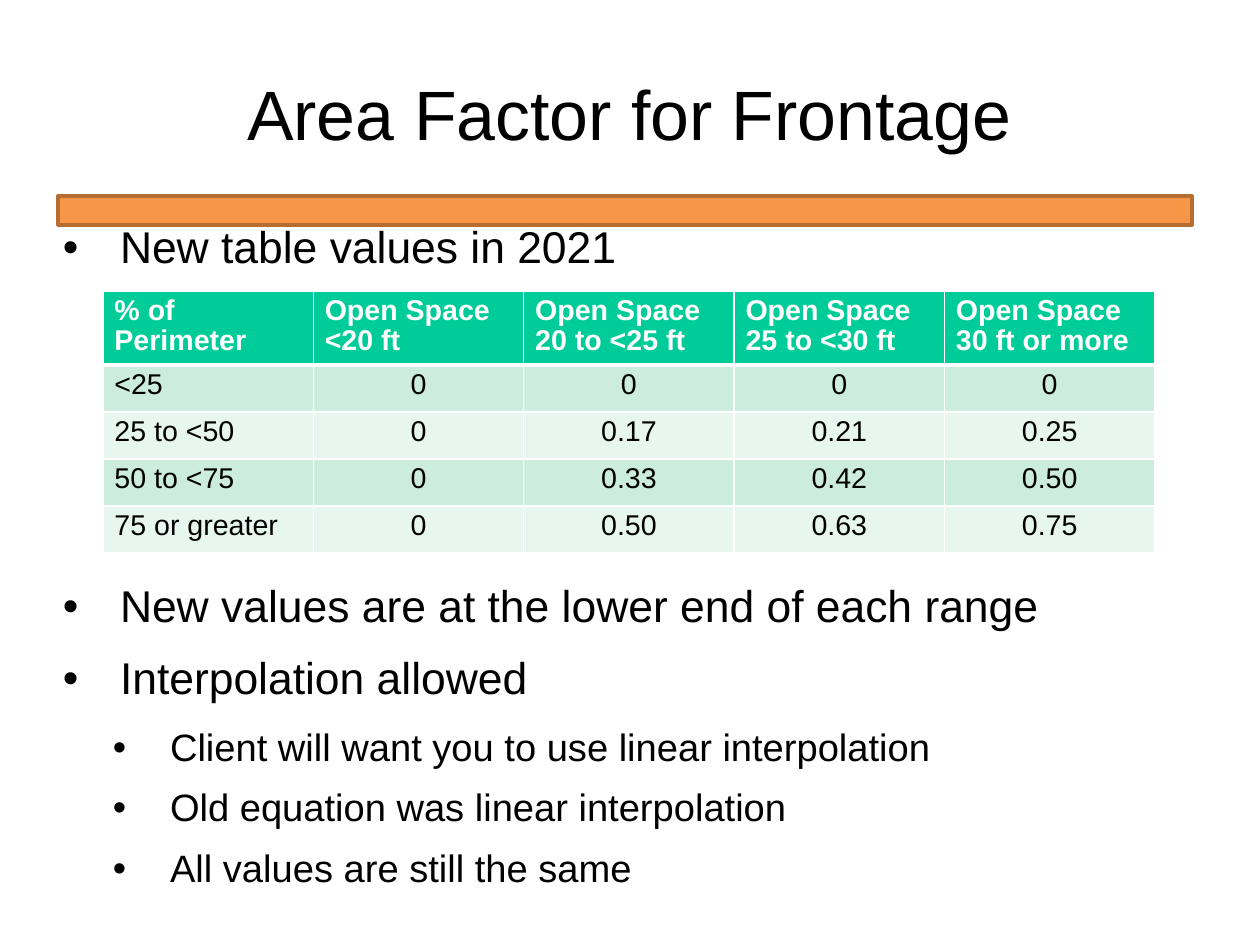
from dataclasses import dataclass

from lxml.etree import SubElement
from pptx import Presentation
from pptx.dml.color import RGBColor
from pptx.enum.shapes import MSO_SHAPE
from pptx.enum.text import MSO_ANCHOR, PP_ALIGN
from pptx.oxml.ns import qn
from pptx.util import Emu, Pt

WHITE = RGBColor(0xFF, 0xFF, 0xFF)
BLACK = RGBColor(0, 0, 0)
ORANGE = RGBColor(0xF7, 0x96, 0x46)
BROWN = RGBColor(0xB6, 0x6D, 0x31)
GREEN = RGBColor(0x00, 0xCC, 0x99)
BANDS = (RGBColor(0xCC, 0xEC, 0xDE), RGBColor(0xE7, 0xF6, 0xEF))
SCALE = 8000


@dataclass
class Box:
    left: int
    top: int
    width: int
    height: int


@dataclass
class Point:
    text: str
    level: int = 0
    before: int = 0


@dataclass
class Style:
    size: int
    indent: int
    after: float


STYLES = (Style(28, 57, 14.1), Style(24, 107, 11.4))
HANG = 57
POINTS = (
    Point("New table values in 2021"),
    Point("New values are at the lower end of each range", before=181),
    Point("Interpolation allowed"),
    Point("Client will want you to use linear interpolation", 1),
    Point("Old equation was linear interpolation", 1),
    Point("All values are still the same", 1),
)
ROWS = (
    ("% of Perimeter", "Open Space\n<20 ft", "Open Space\n20 to <25 ft",
     "Open Space\n25 to <30 ft", "Open Space\n30 ft or more"),
    ("<25", "0", "0", "0", "0"),
    ("25 to <50", "0", "0.17", "0.21", "0.25"),
    ("50 to <75", "0", "0.33", "0.42", "0.50"),
    ("75 or greater", "0", "0.50", "0.63", "0.75"),
)
HEAD, ROW = 74, 47


def px(count: int) -> Emu:
    return Emu(count * SCALE)


def span(box: Box) -> tuple:
    return px(box.left), px(box.top), px(box.width), px(box.height)


def assign(item, values: dict) -> None:
    for name, value in values.items():
        setattr(item, name, value)


def write(para, text: str, size: int, color: RGBColor = BLACK,
          bold: bool = False, **layout) -> None:
    assign(para, {"line_spacing": 0.93, **layout})
    run = para.add_run()
    run.text = text
    assign(run.font, {"name": "Arial", "size": Pt(size), "bold": bold})
    run.font.color.rgb = color


def frame(shape, top: int, anchor: MSO_ANCHOR):
    text = shape.text_frame
    assign(text, {"word_wrap": True, "vertical_anchor": anchor,
                  "margin_left": 0, "margin_right": 0,
                  "margin_top": px(top), "margin_bottom": 0})
    return text


def bullet(para, indent: int) -> None:
    props = para._p.get_or_add_pPr()
    props.set("marL", str(px(indent)))
    props.set("indent", str(-px(HANG)))
    tint = SubElement(props, qn("a:buClr"))
    SubElement(tint, qn("a:srgbClr"), val=str(BLACK))
    SubElement(props, qn("a:buFont"), typeface="Arial")
    SubElement(props, qn("a:buChar"), char="•")


def border(cell, row: int) -> None:
    props = cell._tc.get_or_add_tcPr()
    for side in "LRTB":
        thick = (row, side) in ((0, "B"), (1, "T"))
        line = SubElement(props, qn("a:ln" + side), w=str(Pt(3 if thick else 1)))
        fill = SubElement(line, qn("a:solidFill"))
        SubElement(fill, qn("a:srgbClr"), val=str(WHITE))


def add_bar(slide, box: Box) -> None:
    bar = slide.shapes.add_shape(MSO_SHAPE.RECTANGLE, *span(box))
    bar.shadow.inherit = False
    bar.fill.solid()
    bar.fill.fore_color.rgb = ORANGE
    bar.line.color.rgb = BROWN
    bar.line.width = Pt(2)


def add_title(slide, box: Box, text: str) -> None:
    title = slide.shapes.title
    assign(title, dict(zip(("left", "top", "width", "height"), span(box))))
    body = frame(title, 0, MSO_ANCHOR.MIDDLE)
    write(body.paragraphs[0], text, 44, alignment=PP_ALIGN.CENTER)


def add_grid(slide, box: Box) -> None:
    table = slide.shapes.add_table(len(ROWS), len(ROWS[0]), *span(box)).table
    for r, row in enumerate(ROWS):
        table.rows[r].height = px(ROW if r else HEAD)
        for c, value in enumerate(row):
            cell = table.cell(r, c)
            border(cell, r)
            cell.fill.solid()
            cell.fill.fore_color.rgb = BANDS[(r - 1) % 2] if r else GREEN
            text = cell.text_frame
            for n, line in enumerate(value.split("\n")):
                para = text.add_paragraph() if n else text.paragraphs[0]
                write(para, line, 18, BLACK if r else WHITE, not r,
                      alignment=PP_ALIGN.CENTER if r and c else PP_ALIGN.LEFT)


def add_points(slide, box: Box) -> None:
    text = frame(slide.shapes.add_textbox(*span(box)), 3, MSO_ANCHOR.TOP)
    for n, point in enumerate(POINTS):
        para = text.add_paragraph() if n else text.paragraphs[0]
        style = STYLES[point.level]
        bullet(para, style.indent)
        write(para, point.text, style.size, level=point.level,
              space_before=Pt(point.before), space_after=Pt(style.after))


def main() -> None:
    deck = Presentation()
    assign(deck, {"slide_width": px(1260), "slide_height": px(945)})
    slide = deck.slides.add_slide(deck.slide_layouts[5])
    add_bar(slide, Box(58, 196, 1134, 29))
    add_title(slide, Box(63, 38, 1134, 158), "Area Factor for Frontage")
    add_grid(slide, Box(103, 291, 1052, HEAD + ROW * (len(ROWS) - 1)))
    add_points(slide, Box(63, 221, 1101, 623))
    deck.save("out.pptx")


if __name__ == "__main__":
    main()
